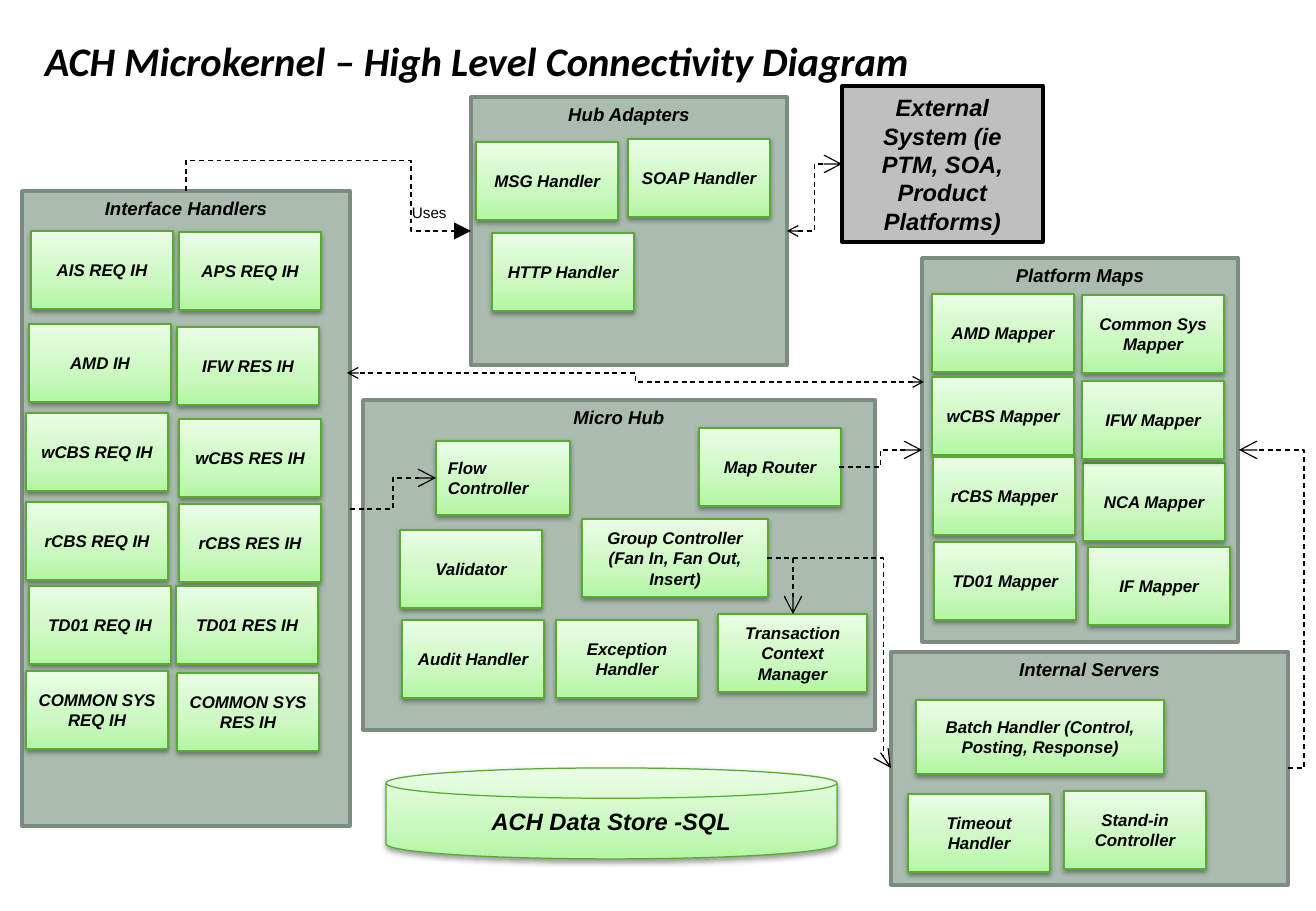
from copy import deepcopy

from lxml.etree import SubElement
from pptx import Presentation
from pptx.dml.color import RGBColor
from pptx.enum.dml import MSO_LINE
from pptx.enum.shapes import MSO_CONNECTOR, MSO_SHAPE
from pptx.enum.text import MSO_ANCHOR, PP_ALIGN
from pptx.oxml.ns import qn
from pptx.util import Pt

PX = 914400 / 121.5
SLIDE_SIZE = (1316, 911)
BLACK = RGBColor(0x00, 0x00, 0x00)
PANEL_FILL = RGBColor(0xAA, 0xBC, 0xAF)
PANEL_LINE = RGBColor(0x7E, 0x8B, 0x81)
GREY = RGBColor(0xBF, 0xBF, 0xBF)
GREEN_LINE = RGBColor(0x58, 0xAB, 0x31)
GREEN_STOPS = [
    (0, RGBColor(0xB3, 0xF6, 0xA3)),
    (0.35, RGBColor(0xCA, 0xF8, 0xBF)),
    (1, RGBColor(0xEA, 0xFD, 0xE6)),
]
MODULE_SIZE = (142, 78)

TITLE = ("ACH Microkernel – High Level Connectivity Diagram", (33, 30, 1228, 61))
USES = ("Uses", (400, 197, 81, 30))
EXTERNAL = ("External System (ie PTM, SOA, Product Platforms)", (842, 86, 201, 156))
DATA_STORE = ("ACH Data Store -SQL", (386, 768, 451, 91))

# Panel name, panel box, modules as (name, left, top[, width, height])
PANELS = [
    ("Micro Hub", (363, 400, 512, 330), [
        ("Flow Controller", 436, 441, 134, 74),
        ("Map Router", 699, 428),
        ("Group Controller\v(Fan In, Fan Out, Insert)", 582, 519, 186, 78),
        ("Validator", 400, 530),
        ("Audit Handler", 402, 620),
        ("Exception Handler", 556, 620),
        ("Transaction Context Manager", 718, 614, 149, 78),
    ]),
    ("Internal Servers", (891, 652, 397, 233), [
        ("Batch Handler (Control, Posting, Response)", 916, 700, 248, 74),
        ("Timeout Handler", 908, 794),
        ("Stand-in Controller", 1064, 791),
    ]),
    ("Platform Maps", (922, 258, 316, 384), [
        ("AMD Mapper", 932, 294), ("Common Sys Mapper", 1082, 295),
        ("wCBS Mapper", 932, 377), ("NCA Mapper", 1083, 463),
        ("rCBS Mapper", 933, 457), ("IFW Mapper", 1082, 381),
        ("TD01 Mapper", 934, 542), ("IF Mapper", 1088, 547),
    ]),
    ("Interface Handlers", (22, 191, 328, 635), [
        ("AIS REQ IH", 31, 231), ("APS REQ IH", 179, 232),
        ("AMD IH", 29, 324), ("IFW RES IH", 177, 327),
        ("wCBS REQ IH", 26, 413), ("wCBS RES IH", 179, 419),
        ("rCBS REQ IH", 26, 502), ("rCBS RES IH", 179, 504),
        ("TD01 REQ IH", 29, 586), ("TD01 RES IH", 176, 586),
        ("COMMON SYS REQ IH", 26, 671), ("COMMON SYS RES IH", 177, 673),
    ]),
    ("Hub Adapters", (471, 97, 316, 268), [
        ("MSG Handler", 476, 142),
        ("SOAP Handler", 628, 139),
        ("HTTP Handler", 492, 233),
    ]),
]

# Start, end, bends (share of the width), start arrow, end arrow
OPEN, SMALL, SOLID = ("arrow", "lg"), ("arrow", "med"), ("triangle", "lg")
LINKS = [
    ((350, 509), (436, 478), [0.5], None, OPEN),
    ((767, 558), (793, 614), [], None, OPEN),
    ((839, 467), (922, 450), [0.5], None, OPEN),
    ((787, 231), (842, 164), [0.5], SMALL, OPEN),
    ((924, 382), (347, 373), [0.5], SMALL, SMALL),
    ((767, 558), (891, 768), [0.94], None, OPEN),
    ((1288, 768), (1239, 450), [-0.33], None, OPEN),
]
USES_LINK = ((186, 191), (471, 231), [-0.76, 0.79], None, SOLID)


def emu(*pixels):
    """Turn pixel lengths into EMU."""
    return [round(p * PX) for p in pixels]


def write(shape, text, size, font="Arial", strong=True,
          align=PP_ALIGN.CENTER, anchor=MSO_ANCHOR.MIDDLE):
    """Fill a shape with uniformly formatted black text."""
    frame = shape.text_frame
    frame.word_wrap = True
    frame.vertical_anchor = anchor
    frame.text = text
    paragraph = frame.paragraphs[0]
    paragraph.alignment = align
    for run in paragraph.runs:
        run.font.name, run.font.size = font, Pt(size)
        run.font.bold = run.font.italic = strong
        run.font.color.rgb = BLACK
    for line_break in paragraph._p.findall(qn("a:br")):
        line_break.append(deepcopy(paragraph.runs[0]._r.rPr))


def add_label(text, box, size, font, strong):
    """Add left-aligned free text."""
    label = shapes.add_textbox(*emu(*box))
    write(label, text, size, font, strong, PP_ALIGN.LEFT, MSO_ANCHOR.TOP)


def add_box(kind, box, line_color, line_width):
    """Add an outlined shape without a shadow."""
    shape = shapes.add_shape(kind, *emu(*box))
    shape.shadow.inherit = False
    shape.line.color.rgb = line_color
    shape.line.width = Pt(line_width)
    return shape


def add_panel(text, box, fill, line, size, anchor):
    """Add a flat filled rectangle with a caption."""
    panel = add_box(MSO_SHAPE.RECTANGLE, box, line, 2)
    panel.fill.solid()
    panel.fill.fore_color.rgb = fill
    write(panel, text, size, anchor=anchor)


def add_green(kind, text, box, size, align=PP_ALIGN.CENTER):
    """Add a green gradient shape with a soft shadow."""
    green = add_box(kind, box, GREEN_LINE, 0.75)
    green.fill.gradient()
    green.fill.gradient_angle = 90
    properties = green._element.spPr
    stops = properties.find(".//" + qn("a:gsLst"))
    stops.insert(1, deepcopy(stops[0]))
    for stop, (position, color) in zip(green.fill.gradient_stops, GREEN_STOPS):
        stop.position, stop.color.rgb = position, color
    shadow = SubElement(properties.find(qn("a:effectLst")), qn("a:outerShdw"),
                        blurRad="40000", dist="20000", dir="5400000", rotWithShape="0")
    shadow_color = SubElement(shadow, qn("a:srgbClr"), val=str(BLACK))
    SubElement(shadow_color, qn("a:alpha"), val="38000")
    write(green, text, size, align=align)


def add_link(start, end, bends, head, tail):
    """Add a dashed elbow connector bent at the given shares."""
    link = shapes.add_connector(MSO_CONNECTOR.ELBOW, *emu(*start, *end))
    link.line.color.rgb = BLACK
    link.line.width = Pt(0.75)
    link.line.dash_style = MSO_LINE.DASH
    properties = link._element.spPr
    for tag, arrow in (("a:headEnd", head), ("a:tailEnd", tail)):
        if arrow:
            kind, size = arrow
            SubElement(properties.find(qn("a:ln")), qn(tag), type=kind, w=size, len=size)
    SubElement(properties, qn("a:effectLst"))
    geometry = properties.find(qn("a:prstGeom"))
    geometry.set("prst", f"bentConnector{len(bends) + 2}")
    guides = geometry.find(qn("a:avLst"))
    for number, bend in enumerate(bends, 1):
        SubElement(guides, qn("a:gd"), name=f"adj{number}", fmla=f"val {round(bend * 100000)}")
    return link


def add_upright_link(start, end, *style):
    """Add a link that leaves its start upwards: a mirrored one turned by 270 degrees."""
    (x1, y1), (x2, y2) = start, end
    mid_x, mid_y = (x1 + x2) / 2, (y1 + y2) / 2
    half_w, half_h = (y2 - y1) / 2, (x2 - x1) / 2
    link = add_link((mid_x + half_w, mid_y - half_h),
                    (mid_x - half_w, mid_y + half_h), *style)
    link._element.spPr.find(qn("a:xfrm")).set("rot", str(270 * 60000))


deck = Presentation()
deck.slide_width, deck.slide_height = emu(*SLIDE_SIZE)
shapes = deck.slides.add_slide(deck.slide_layouts[6]).shapes

add_label(*TITLE, 24, "Calibri", True)
for panel_name, panel_box, modules in PANELS:
    add_panel(panel_name, panel_box, PANEL_FILL, PANEL_LINE, 11, MSO_ANCHOR.TOP)
    for module, left, top, *size in modules:
        align = PP_ALIGN.LEFT if module == "Flow Controller" else PP_ALIGN.CENTER
        add_green(MSO_SHAPE.RECTANGLE, module, (left, top, *(size or MODULE_SIZE)), 10, align)
add_green(MSO_SHAPE.FLOWCHART_MAGNETIC_DISK, *DATA_STORE, 14)
add_panel(*EXTERNAL, GREY, BLACK, 14, MSO_ANCHOR.MIDDLE)
add_upright_link(*USES_LINK)
add_label(*USES, 9, "Arial", False)
for connection in LINKS:
    add_link(*connection)

deck.save("out.pptx")
